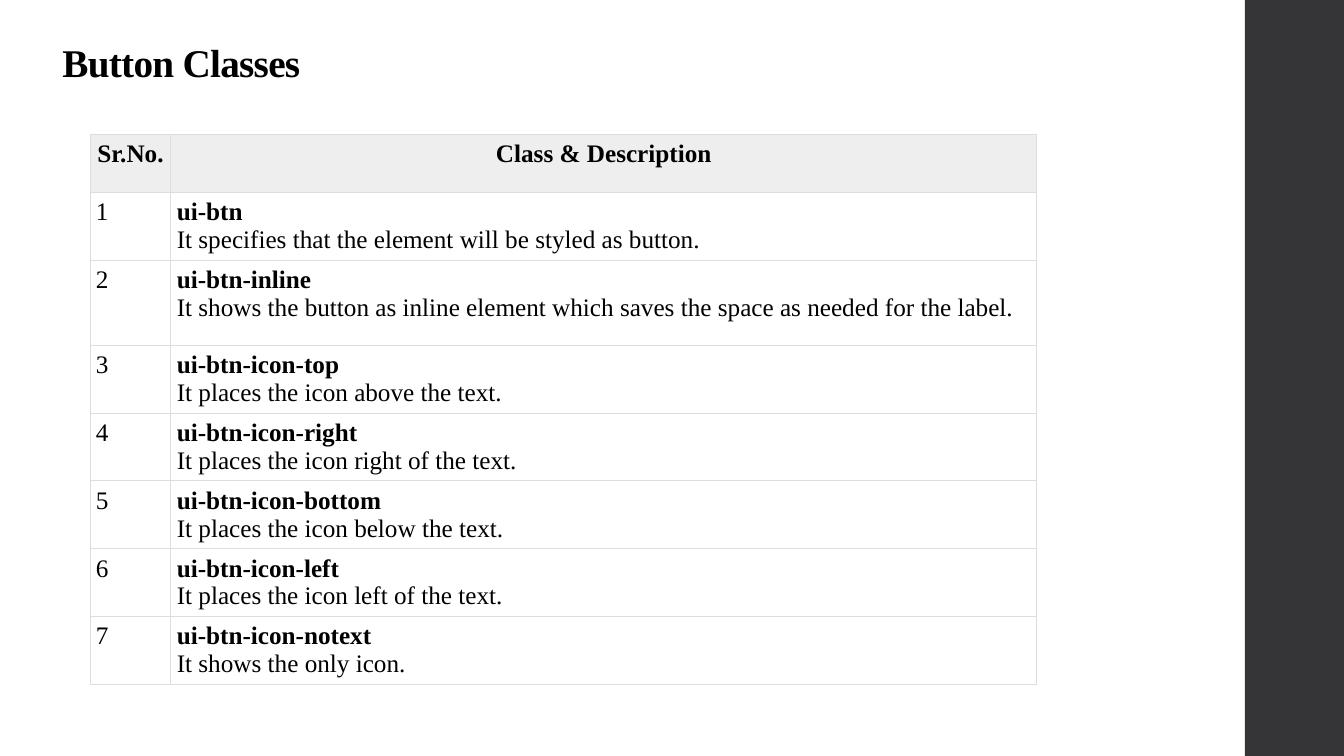
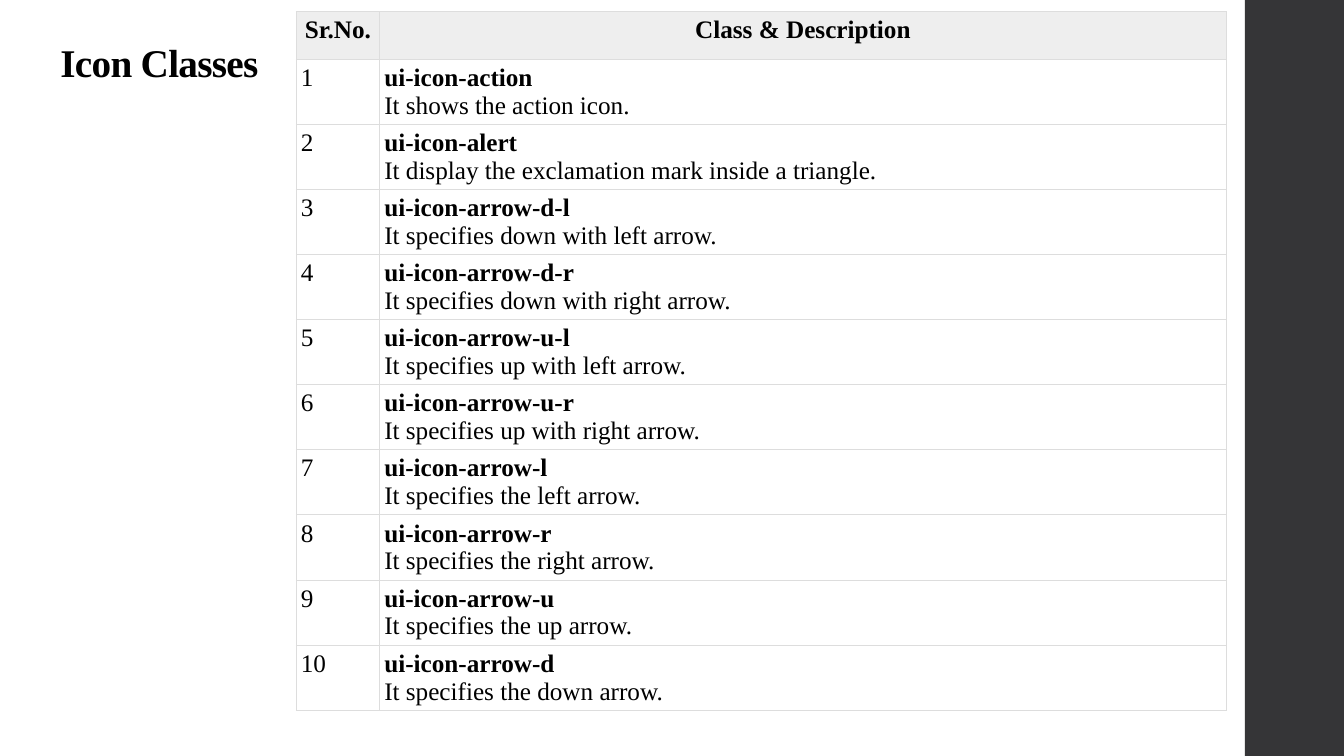
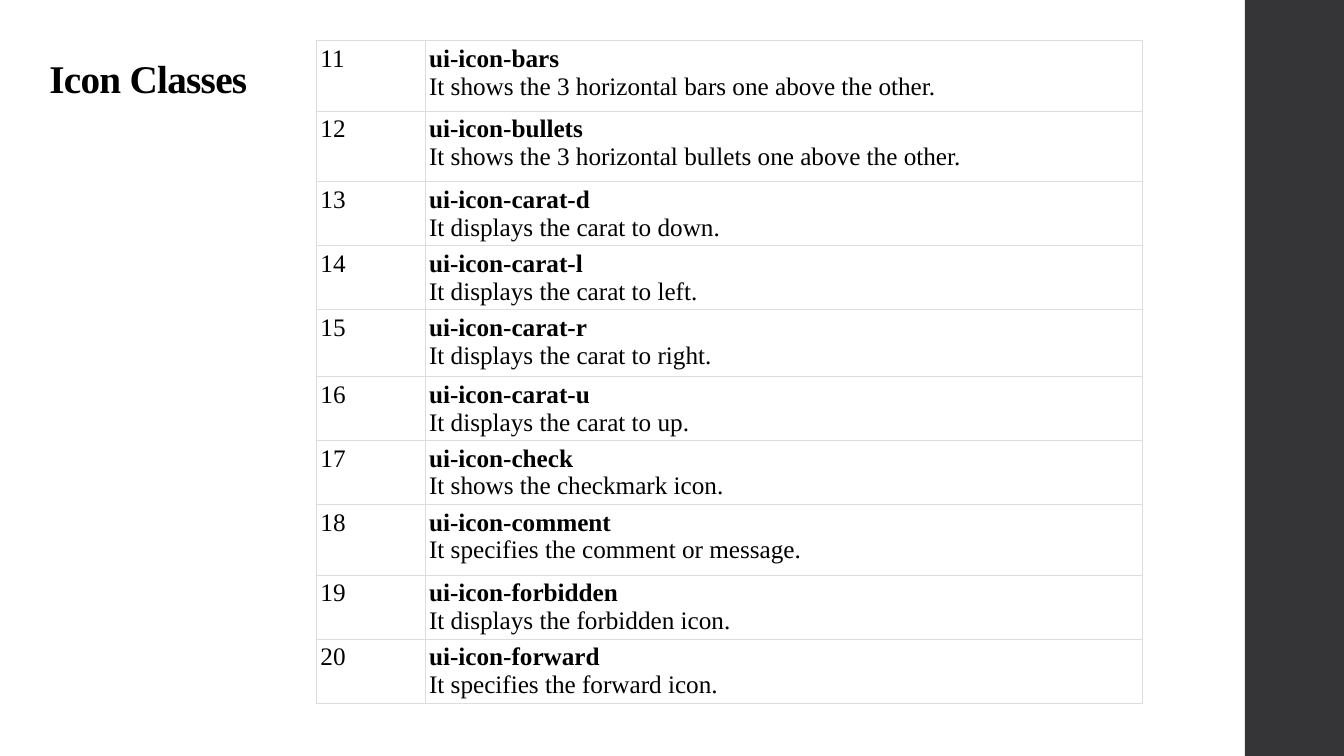
from lxml import etree
from pptx import Presentation
from pptx.dml.color import RGBColor
from pptx.enum.shapes import MSO_SHAPE
from pptx.enum.text import MSO_ANCHOR, PP_ALIGN
from pptx.oxml.ns import qn
from pptx.util import Pt

TOP, BOTTOM = MSO_ANCHOR.TOP, MSO_ANCHOR.BOTTOM
LEFT, CENTER, JUSTIFY = PP_ALIGN.LEFT, PP_ALIGN.CENTER, PP_ALIGN.JUSTIFY
BLACK = RGBColor(0x00, 0x00, 0x00)
BAND = RGBColor(0x35, 0x35, 0x37)
HEADER_FILL = RGBColor(0xEE, 0xEE, 0xEE)
BORDER = RGBColor(0xDD, 0xDD, 0xDD)
FONT = "Times New Roman"
WIDTH, HEIGHT = 960, 540
BAND_LEFT, BAND_WIDTH = 889.2, 72
HEADER = ("Sr.No.", "Class & Description")

SLIDES = [
    {
        "title": "Button Classes", "title_box": (37.4, 27.4, 825, 68.4), "anchor": TOP,
        "table_at": (64.3, 95.9), "cols": (57.8, 618.4), "inset": 4.2,
        "header_height": 41.5, "row_height": 48.4, "tall_rows": {2: 61}, "first": 1,
        "classes": [
            ("ui-btn", "It specifies that the element will be styled as button."),
            ("ui-btn-inline", "It shows the button as inline element which saves the space as needed for the label."),
            ("ui-btn-icon-top", "It places the icon above the text."),
            ("ui-btn-icon-right", "It places the icon right of the text."),
            ("ui-btn-icon-bottom", "It places the icon below the text."),
            ("ui-btn-icon-left", "It places the icon left of the text."),
            ("ui-btn-icon-notext", "It shows the only icon."),
        ],
    },
    {
        "title": "Icon Classes", "title_box": (36, 13.7, 826.6, 51.1), "anchor": BOTTOM,
        "table_at": (211.6, 8.4), "cols": (59.6, 604.8), "inset": 3.3,
        "header_height": 34.2, "row_height": 46.4, "tall_rows": {}, "first": 1,
        "classes": [
            ("ui-icon-action", "It shows the action icon."),
            ("ui-icon-alert", "It display the exclamation mark inside a triangle."),
            ("ui-icon-arrow-d-l", "It specifies down with left arrow."),
            ("ui-icon-arrow-d-r", "It specifies down with right arrow."),
            ("ui-icon-arrow-u-l", "It specifies up with left arrow."),
            ("ui-icon-arrow-u-r", "It specifies up with right arrow."),
            ("ui-icon-arrow-l", "It specifies the left arrow."),
            ("ui-icon-arrow-r", "It specifies the right arrow."),
            ("ui-icon-arrow-u", "It specifies the up arrow."),
            ("ui-icon-arrow-d", "It specifies the down arrow."),
        ],
    },
    {
        "title": "Icon Classes", "title_box": (28.1, 28.8, 834.5, 47.5), "anchor": BOTTOM,
        "table_at": (226, 29), "cols": (77.6, 512.6), "inset": 2.9,
        "header_height": None, "row_height": 45.7,
        "tall_rows": {11: 50.4, 12: 50.4, 15: 47.8, 18: 50.4}, "first": 11,
        "classes": [
            ("ui-icon-bars", "It shows the 3 horizontal bars one above the other."),
            ("ui-icon-bullets", "It shows the 3 horizontal bullets one above the other."),
            ("ui-icon-carat-d", "It displays the carat to down."),
            ("ui-icon-carat-l", "It displays the carat to left."),
            ("ui-icon-carat-r", "It displays the carat to right."),
            ("ui-icon-carat-u", "It displays the carat to up."),
            ("ui-icon-check", "It shows the checkmark icon."),
            ("ui-icon-comment", "It specifies the comment or message."),
            ("ui-icon-forbidden", "It displays the forbidden icon."),
            ("ui-icon-forward", "It specifies the forward icon."),
        ],
    },
]


def style(p, size, bold, align):
    p.alignment = align
    font = p.font
    font.name, font.size, font.bold = FONT, Pt(size), bold
    font.color.rgb = BLACK


def add_band(s, layout):
    band = s.shapes.add_shape(MSO_SHAPE.RECTANGLE, Pt(BAND_LEFT), 0, Pt(BAND_WIDTH), Pt(HEIGHT))
    band.shadow.inherit = False
    band.fill.solid()
    band.fill.fore_color.rgb = BAND
    band.line.fill.background()
    layout.shapes._spTree.append(band._element)


def add_title(s, text, box, anchor):
    title = s.shapes.title
    title.left, title.top, title.width, title.height = map(Pt, box)
    tf = title.text_frame
    tf.text = text
    tf.vertical_anchor = anchor
    p = tf.paragraphs[0]
    style(p, 28, True, LEFT)
    p.line_spacing = 0.9
    p.runs[0].font._element.set("spc", "-50")


def add_borders(cell):
    tcPr = cell._tc.get_or_add_tcPr()
    for side in ("lnL", "lnR", "lnT", "lnB"):
        ln = etree.SubElement(tcPr, qn("a:" + side), w=str(Pt(0.75)))
        fill = etree.SubElement(ln, qn("a:solidFill"))
        etree.SubElement(fill, qn("a:srgbClr"), val=str(BORDER))


def fill_cell(cell, lines, align, inset, header):
    add_borders(cell)
    if header:
        cell.fill.solid()
        cell.fill.fore_color.rgb = HEADER_FILL
    else:
        cell.fill.background()
    cell.margin_left = cell.margin_right = cell.margin_top = cell.margin_bottom = Pt(inset)
    cell.vertical_anchor = TOP
    tf = cell.text_frame
    tf.text = "\n".join(text for text, bold in lines)
    for p, (text, bold) in zip(tf.paragraphs, lines):
        style(p, 18, bold, align)


def add_class_table(s, d):
    rows = []
    if d["header_height"]:
        cells = [([(text, True)], CENTER) for text in HEADER]
        rows.append((d["header_height"], cells, True))
    for number, (name, description) in enumerate(d["classes"], d["first"]):
        height = d["tall_rows"].get(number, d["row_height"])
        cells = [([(str(number), False)], LEFT), ([(name, True), (description, False)], JUSTIFY)]
        rows.append((height, cells, False))
    left, top = d["table_at"]
    total = sum(row[0] for row in rows)
    table = s.shapes.add_table(len(rows), len(d["cols"]), Pt(left), Pt(top),
                               Pt(sum(d["cols"])), Pt(total)).table
    table.first_row = table.horz_banding = False
    for column, width in zip(table.columns, d["cols"]):
        column.width = Pt(width)
    for row, (height, cells, header) in zip(table.rows, rows):
        row.height = Pt(height)
        for cell, (lines, align) in zip(row.cells, cells):
            fill_cell(cell, lines, align, d["inset"], header)


def main():
    prs = Presentation()
    prs.slide_width, prs.slide_height = Pt(WIDTH), Pt(HEIGHT)
    layout = prs.slide_layouts[5]
    for i, d in enumerate(SLIDES):
        s = prs.slides.add_slide(layout)
        if i == 0:
            add_band(s, layout)
        add_title(s, d["title"], d["title_box"], d["anchor"])
        add_class_table(s, d)
    prs.save("out.pptx")


if __name__ == "__main__":
    main()
